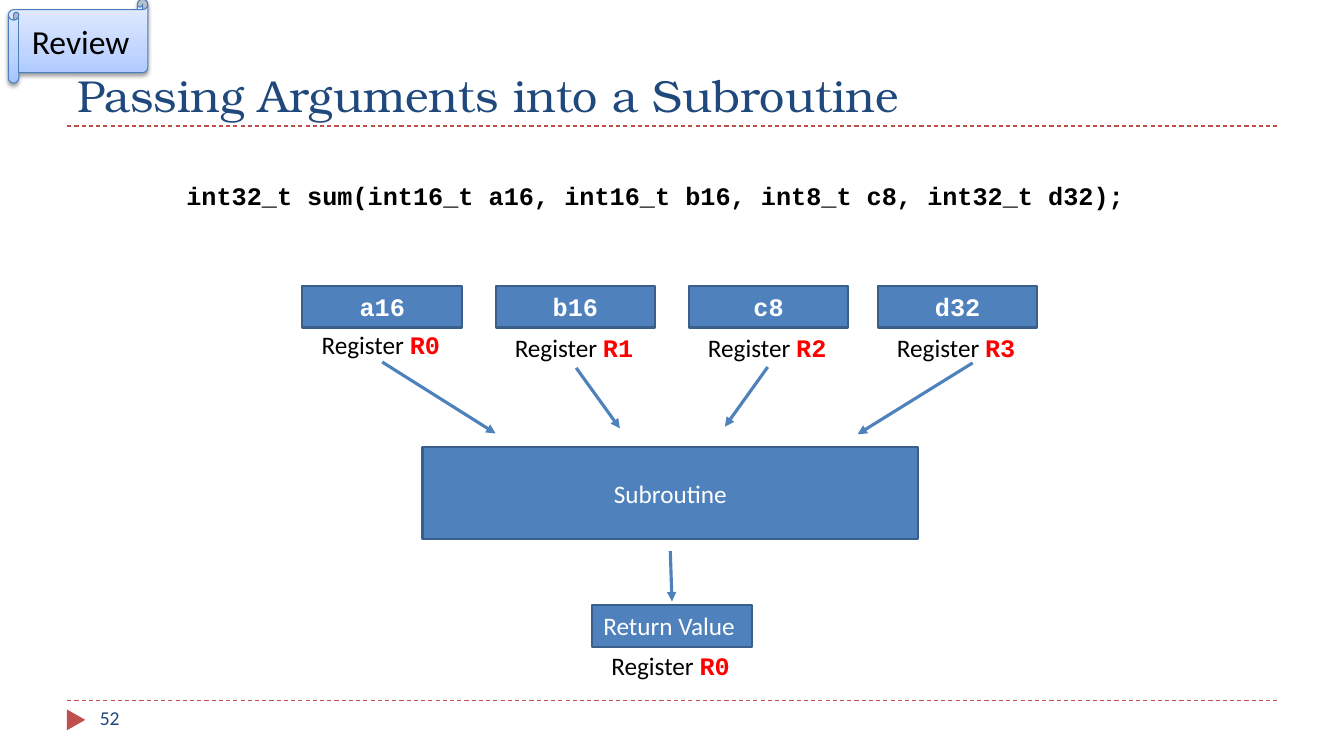
from pptx import Presentation
from pptx.util import Inches, Pt
from pptx.dml.color import RGBColor
from pptx.enum.dml import MSO_LINE as Dash
from pptx.enum.shapes import MSO_SHAPE as Shape, MSO_CONNECTOR as Link
from pptx.enum.text import MSO_ANCHOR as Anchor, MSO_AUTO_SIZE as Fit, PP_ALIGN as Align
from pptx.oxml import parse_xml
from pptx.oxml.ns import nsdecls

COLS, ROWS = 160, 90


def rgb(code):
    return RGBColor.from_string(code)


def node(body):
    """Build one drawing element, given as 'tag attributes>content'."""
    tag, rest = body.split(" ", 1)
    return parse_xml(f"<a:{tag} {nsdecls('a')} {rest}</a:{tag}>")


class Deck:
    sans, mono, serif = "Calibri", "Courier New", "TeX Gyre Bonum"
    blue, edge, navy = "4F81BD", "3A5F8C", "1F497D"
    brick, red, black, white = "C0504D", "FF0000", "000000", "FFFFFF"

    def __init__(self):
        self.prs = Presentation()
        self.prs.slide_width, self.prs.slide_height = Inches(13.333), Inches(7.5)
        self.slide = self.prs.slides.add_slide(self.prs.slide_layouts[6])

    def grid(self, x, y):
        return (round(x * self.prs.slide_width / COLS),
                round(y * self.prs.slide_height / ROWS))

    def area(self, x, y, w, h):
        return *self.grid(x, y), *self.grid(w, h)

    def fill_in(self, frame, runs, align, anchor):
        """Each run is (text, font, size, colour, bold)."""
        frame.vertical_anchor = anchor
        para = frame.paragraphs[0]
        para.alignment = align
        for text, face, size, tint, bold in runs:
            run = para.add_run()
            run.text = text
            font = run.font
            font.name, font.size, font.bold = face, Pt(size), bold
            font.color.rgb = rgb(tint)

    def text(self, area, *runs, anchor=Anchor.TOP, wrap=True, fit=Fit.NONE):
        frame = self.slide.shapes.add_textbox(*self.area(*area)).text_frame
        frame.word_wrap, frame.auto_size = wrap, fit
        self.fill_in(frame, runs, Align.LEFT, anchor)

    def shape(self, kind, area, fill, edge=None, weight=1.5, run=None):
        item = self.slide.shapes.add_shape(kind, *self.area(*area))
        item.fill.solid()
        item.fill.fore_color.rgb = rgb(fill)
        if edge:
            item.line.color.rgb = rgb(edge)
            item.line.width = Pt(weight)
        else:
            item.line.fill.background()
        item.shadow.inherit = False
        if run:
            self.fill_in(item.text_frame, [run], Align.CENTER, Anchor.MIDDLE)
        return item

    def box(self, area, text, face, bold=False):
        self.shape(Shape.RECTANGLE, area, self.blue, self.edge,
                   run=(text, face, 18, self.white, bold))

    def label(self, x, y, name):
        self.text((x, y, 16.7, 4.8), ("Register ", self.sans, 18, self.black, False),
                  (name, self.mono, 18, self.red, True),
                  wrap=False, fit=Fit.SHAPE_TO_FIT_TEXT)

    def line(self, start, end, tint, weight):
        item = self.slide.shapes.add_connector(
            Link.STRAIGHT, *self.grid(*start), *self.grid(*end))
        item.line.color.rgb = rgb(tint)
        item.line.width = Pt(weight)
        item._element.spPr.append(node("effectLst >"))
        return item

    def rule(self, y):
        self.line((8, y), (152, y), self.brick, 0.75).line.dash_style = Dash.DASH

    def arrow(self, start, end):
        item = self.line(start, end, self.blue, 2.25)
        item._element.spPr.find("{*}ln").append(node('tailEnd type="triangle">'))

    def scroll(self, area, text):
        item = self.shape(Shape.HORIZONTAL_SCROLL, area, self.white, "4B7EBC", 0.75,
                          (text, self.sans, 24, self.black, False))
        stops = "".join(f'<a:gs pos="{at * 1000}"><a:srgbClr val="{tint}"/></a:gs>'
                        for at, tint in ((0, "A4C4FF"), (35, "BFD4FF"), (100, "E6EEFF")))
        props = item._element.spPr
        props.replace(props.find("{*}solidFill"), node(
            f'gradFill rotWithShape="1"><a:gsLst>{stops}</a:gsLst>'
            '<a:lin ang="16200000" scaled="0"/>'))
        props.find("{*}effectLst").append(node(
            f'outerShdw blurRad="{Pt(3.1)}" dist="{Pt(1.6)}" dir="5400000" rotWithShape="0">'
            '<a:srgbClr val="000000"><a:alpha val="38000"/></a:srgbClr>'))


def main():
    deck = Deck()

    # Frame: rules, marker, title and page number
    deck.rule(83.4)
    deck.rule(15)
    mark = deck.shape(Shape.ISOSCELES_TRIANGLE, (7.8, 84.6, 2.5, 2.2), deck.brick)
    mark.rotation = 90
    deck.text((8, 2, 144, 13), ("Passing Arguments into a Subroutine",
                                deck.serif, 32, deck.navy, False), anchor=Anchor.BOTTOM)
    deck.text((10.7, 83.4, 34.7, 4.8), ("52", deck.sans, 14, deck.navy, False))

    # Signature
    deck.text((21, 20.9, 120.2, 4.8),
              ("int32_t sum(int16_t a16, int16_t b16, int8_t c8, int32_t d32);",
               deck.mono, 18, deck.black, True), fit=Fit.SHAPE_TO_FIT_TEXT)

    # Arguments, their registers and the arrows into the subroutine
    args = (("a16", 36, 38.6, (45.5, 43.1), (59, 51.6)),
            ("b16", 59, 39, (68.6, 43.8), (73.8, 51)),
            ("c8", 82, 39, (91.4, 43.7), (86.3, 50.8)),
            ("d32", 104.5, 39, (115.8, 43.2), (102.1, 51.7)))
    for i, (name, x, y, start, end) in enumerate(args):
        deck.box((x, 34, 19, 5), name, deck.mono, True)
        deck.label(x + 1.1, y, f"R{i}")
        deck.arrow(start, end)

    # Subroutine and its result
    deck.box((50.3, 53.2, 59, 11), "Subroutine", deck.sans)
    deck.arrow((79.8, 65.6), (80, 71.6))
    deck.box((70.5, 72, 19, 5), "Return Value ", deck.sans)
    deck.label(71.6, 76.8, "R0")

    # Corner badge
    deck.scroll((1, -0.1, 16.6, 10), "Review")

    deck.prs.save("out.pptx")


if __name__ == "__main__":
    main()
